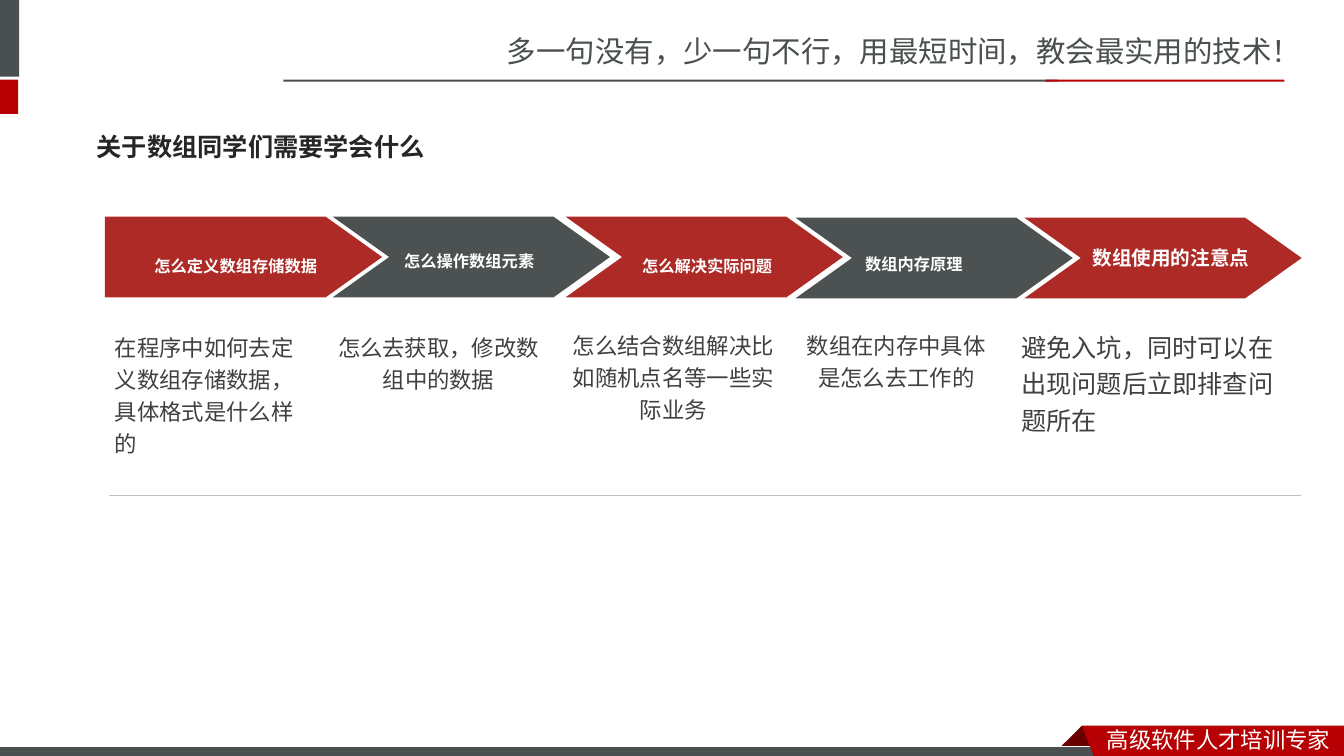
from lxml import etree
from pptx import Presentation
from pptx.dml.color import RGBColor
from pptx.enum import shapes, text
from pptx.oxml import ns
from pptx.util import Inches, Pt

RED = RGBColor(0xAD, 0x2A, 0x26)
SLATE = RGBColor(0x4C, 0x52, 0x52)
BRAND_RED = RGBColor(0xB6, 0x00, 0x04)
FOLD_RED = RGBColor(0x68, 0x00, 0x00)
BRAND_GRAY = RGBColor(0x49, 0x50, 0x4F)
RULE_GRAY = RGBColor(0xBF, 0xBF, 0xBF)
BODY_GRAY = RGBColor(0x40, 0x40, 0x40)
TITLE_GRAY = RGBColor(0x26, 0x26, 0x26)
WHITE = RGBColor(0xFF, 0xFF, 0xFF)
SC, JP = "Noto Sans CJK SC", "Noto Sans CJK JP"
LEFT, CENTER = text.PP_ALIGN.LEFT, text.PP_ALIGN.CENTER

TITLE = "关于数组同学们需要学会什么"
SLOGAN = "多一句没有，少一句不行，用最短时间，教会最实用的技术！"
FOOTER = "高级软件人才培训专家"

BARS = [
    ((-0.06, 0, 0.25, 0.76), BRAND_GRAY),
    ((-0.06, 0.79, 0.24, 0.34), BRAND_RED),
    ((2.81, 0.79, 7.68, 0.02), BRAND_GRAY),
    ((10.37, 0.79, 2.37, 0.02), BRAND_RED),
]
FOOTER_BAR = (-0.01, 7.41, 11, 0.12)
FOLD = [(10.73, 7.2), (10.95, 7.42), (10.94, 7.43), (10.52, 7.43), (10.51, 7.42)]
RIBBON = [(10.73, 7.2), (13.33, 7.2), (13.33, 7.54), (10.86, 7.53)]

STEPS = [
    dict(arrow=(1.04, 2.15), label="怎么定义数组存储数据", label_box=(1.03, 2.37, 2.62, 0.36),
         label_size=20, label_spacing=1.2, detail="在程序中如何去定义数组存储数据，具体格式是什么样的",
         detail_box=(1.04, 3.21, 2.12, 1.38), detail_size=16, align=LEFT),
    dict(arrow=(3.3, 2.15), label="怎么操作数组元素", label_box=(3.49, 2.37, 2.33, 0.33),
         label_size=20, label_spacing=None, detail="怎么去获取，修改数组中的数据",
         detail_box=(3.2, 3.21, 2.3, 0.73), detail_size=16, align=CENTER),
    dict(arrow=(5.61, 2.15), label="怎么解决实际问题", label_box=(5.28, 2.37, 3.47, 0.36),
         label_size=20, label_spacing=1.2, detail="怎么结合数组解决比如随机点名等一些实际业务",
         detail_box=(5.53, 3.19, 2.3, 1.05), detail_size=16, align=CENTER),
    dict(arrow=(7.89, 2.16), label="数组内存原理", label_box=(7.9, 2.4, 2.33, 0.33),
         label_size=20, label_spacing=None, detail="数组在内存中具体是怎么去工作的",
         detail_box=(7.83, 3.19, 2.12, 0.73), detail_size=16, align=CENTER),
    dict(arrow=(10.16, 2.16), label="数组使用的注意点", label_box=(10.45, 2.35, 2.33, 0.37),
         label_size=14, label_spacing=1.2, detail="避免入坑，同时可以在出现问题后立即排查问题所在",
         detail_box=(10.03, 3.19, 2.75, 1.17), detail_size=18, align=LEFT),
]
ARROW_WIDTH, ARROW_HEIGHT, ARROW_POINT = 2.75, 0.8, 0.56


def paint(shape, color):
    shape.shadow.inherit = False
    shape.fill.solid()
    shape.fill.fore_color.rgb = color
    shape.line.fill.background()
    return shape


def add_bar(slide, box, color):
    bar = slide.shapes.add_shape(shapes.MSO_SHAPE.RECTANGLE, *map(Inches, box))
    return paint(bar, color)


def add_outline(slide, points, color):
    corners = [(Inches(x), Inches(y)) for x, y in points]
    builder = slide.shapes.build_freeform(*corners[0])
    builder.add_line_segments(corners[1:], close=True)
    paint(builder.convert_to_shape(), color)


def write(frame, words, size, color, latin=JP, east_asian=JP, bold=False,
          align=LEFT, spacing=None, anchor=text.MSO_ANCHOR.TOP, wrap=True):
    frame.word_wrap = wrap
    frame.auto_size = text.MSO_AUTO_SIZE.NONE
    frame.vertical_anchor = anchor
    frame.text = words
    paragraph = frame.paragraphs[0]
    paragraph.alignment = align
    paragraph.line_spacing = spacing
    font = paragraph.font
    font.size, font.bold, font.name = Pt(size), bold, latin
    font.color.rgb = color
    defaults = paragraph._p.pPr.find(ns.qn("a:defRPr"))
    etree.SubElement(defaults, ns.qn("a:ea")).set("typeface", east_asian)
    return paragraph


def add_text(slide, box, words, size, color, **style):
    frame = slide.shapes.add_textbox(*map(Inches, box)).text_frame
    return write(frame, words, size, color, **style)


def arrow_points(x, y, notched):
    right, bottom, middle = x + ARROW_WIDTH, y + ARROW_HEIGHT, y + ARROW_HEIGHT / 2
    shoulder = right - ARROW_POINT
    points = [(x, y), (shoulder, y), (right, middle), (shoulder, bottom), (x, bottom)]
    return points + [(x + ARROW_POINT, middle)] if notched else points


def main():
    deck = Presentation()
    deck.slide_width, deck.slide_height = Inches(13.33), Inches(7.5)
    slide = deck.slides.add_slide(deck.slide_layouts[5])

    heading = slide.shapes.title
    heading.left, heading.top, heading.width, heading.height = map(Inches, (0.86, 1.17, 4.08, 0.57))
    write(heading.text_frame, TITLE, 18, TITLE_GRAY, latin="Courier New", east_asian=SC,
          bold=True, anchor=text.MSO_ANCHOR.MIDDLE)

    add_text(slide, (4.93, 0.28, 8.41, 0.47), SLOGAN, 21, BRAND_GRAY,
             latin=SC, east_asian=SC, wrap=False)
    for box, color in BARS:
        add_bar(slide, box, color)
    add_outline(slide, FOLD, FOLD_RED)
    footer_bar = add_bar(slide, FOOTER_BAR, BRAND_GRAY)
    footer_bar.line.color.rgb = WHITE
    footer_bar.line.width = Pt(0.75)
    add_outline(slide, RIBBON, BRAND_RED)
    add_text(slide, (10.88, 7.15, 2.45, 0.37), FOOTER, 16, WHITE,
             latin=SC, east_asian=SC, wrap=False)

    for index, step in enumerate(STEPS):
        add_outline(slide, arrow_points(*step["arrow"], notched=index > 0),
                    SLATE if index % 2 else RED)
    for step in STEPS:
        label = add_text(slide, step["label_box"], step["label"], step["label_size"], WHITE,
                         bold=True, align=CENTER, spacing=step["label_spacing"],
                         anchor=text.MSO_ANCHOR.MIDDLE)
        if step["label_size"] == 20:
            label.runs[0]._r.get_or_add_rPr().set("baseline", "-3000")
        add_text(slide, step["detail_box"], step["detail"], step["detail_size"], BODY_GRAY,
                 align=step["align"], spacing=1.2)

    rule = slide.shapes.add_connector(shapes.MSO_CONNECTOR.STRAIGHT,
                                      *map(Inches, (1.08, 4.91, 12.9, 4.91)))
    rule.line.color.rgb = RULE_GRAY
    rule.line.width = Pt(0.25)
    etree.SubElement(rule._element.spPr, ns.qn("a:effectLst"))

    deck.save("out.pptx")


if __name__ == "__main__":
    main()
